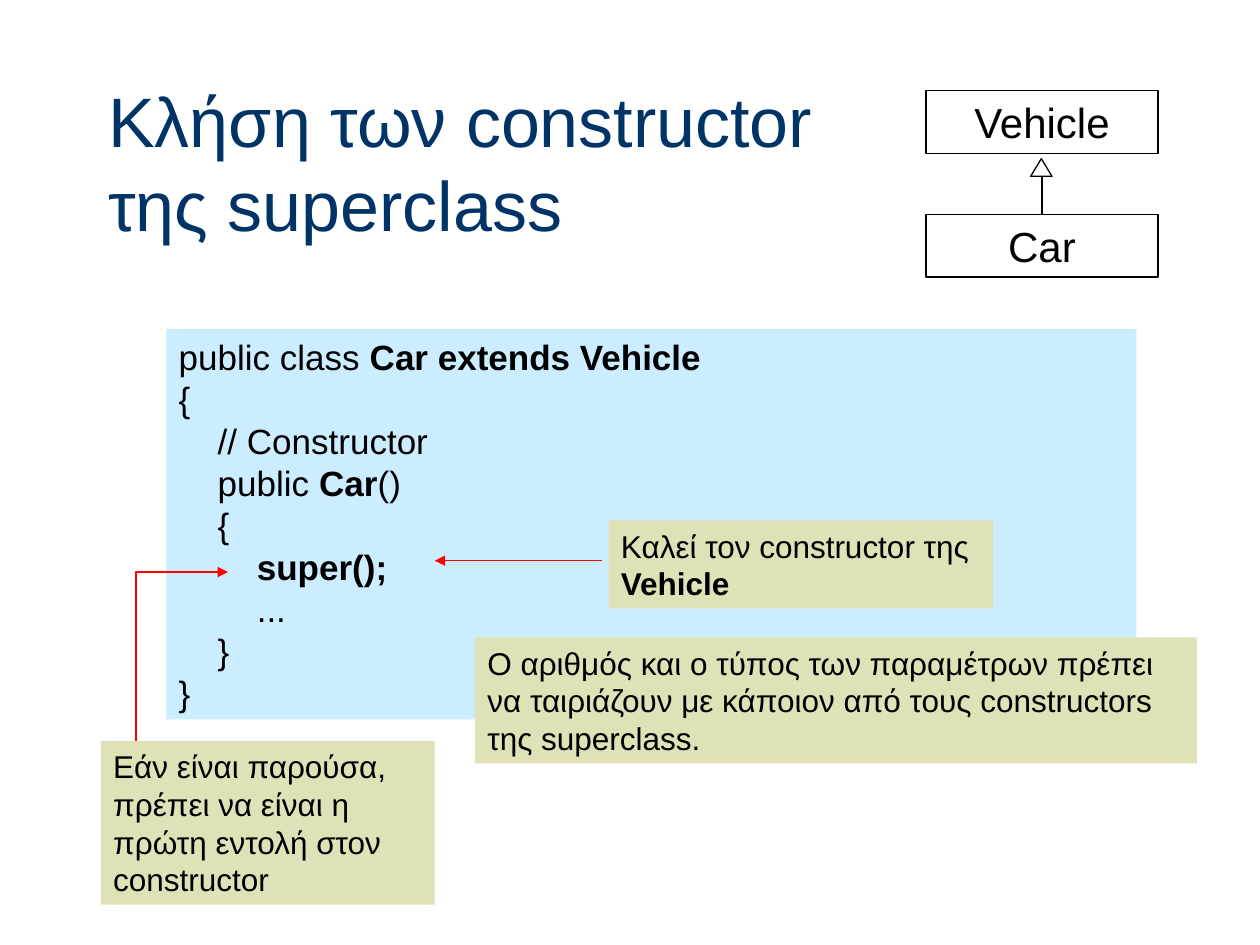
from dataclasses import dataclass

from lxml import etree
from pptx import Presentation
from pptx.dml.color import RGBColor
from pptx.enum import shapes, text
from pptx.oxml import ns
from pptx.util import Inches, Pt


@dataclass(frozen=True)
class Theme:
    font: str = "Arial"
    title: str = "003366"
    ink: str = "000000"
    paper: str = "FFFFFF"
    code: str = "CCECFF"
    note: str = "E1E1B7"
    pointer: str = "FF0000"
    title_size: int = 40
    class_size: int = 24
    code_size: int = 20
    note_size: int = 18
    line_width: float = 0.75
    indent: float = 0.31


class SlideBuilder:
    def __init__(self, slide, theme):
        self.slide = slide
        self.theme = theme

    def format_font(self, paragraph, size, color):
        font = paragraph.font
        font.name = self.theme.font
        font.size = Pt(size)
        font.color.rgb = RGBColor.from_string(color)

    def title(self, wording, left, top, width, height):
        heading = self.slide.shapes.title
        heading.left, heading.top = Inches(left), Inches(top)
        heading.width, heading.height = Inches(width), Inches(height)
        frame = heading.text_frame
        frame.text = wording
        frame.auto_size = text.MSO_AUTO_SIZE.NONE
        frame.vertical_anchor = text.MSO_ANCHOR.MIDDLE
        frame.paragraphs[0].alignment = text.PP_ALIGN.LEFT
        self.format_font(frame.paragraphs[0], self.theme.title_size, self.theme.title)

    def stroke(self, shape, color):
        shape.line.color.rgb = RGBColor.from_string(color)
        shape.line.width = Pt(self.theme.line_width)

    def shape(self, kind, left, top, width, height, fill, outline=None):
        drawn = self.slide.shapes.add_shape(
            kind, Inches(left), Inches(top), Inches(width), Inches(height))
        drawn.shadow.inherit = False
        drawn.fill.solid()
        drawn.fill.fore_color.rgb = RGBColor.from_string(fill)
        if outline:
            self.stroke(drawn, outline)
        else:
            drawn.line.fill.background()
        return drawn

    def box(self, lines, left, top, width, height, fill, size,
            align=text.PP_ALIGN.LEFT, outline=None):
        panel = self.shape(shapes.MSO_SHAPE.RECTANGLE, left, top, width, height,
                           fill, outline)
        frame = panel.text_frame
        frame.word_wrap = True
        frame.vertical_anchor = text.MSO_ANCHOR.TOP
        for number, (level, *runs) in enumerate(lines):
            paragraph = frame.add_paragraph() if number else frame.paragraphs[0]
            paragraph.alignment = align
            self.format_font(paragraph, size, self.theme.ink)
            if level:
                margin = Inches(level * self.theme.indent)
                paragraph._p.get_or_add_pPr().set("marL", str(margin))
            for position, wording in enumerate(runs):
                if wording:
                    run = paragraph.add_run()
                    run.text = wording
                    if position % 2:
                        run.font.bold = True
        return panel

    def class_box(self, name, top):
        return self.box([(0, name)], 7.35, top, 1.84, 0.5, self.theme.paper,
                        self.theme.class_size, text.PP_ALIGN.CENTER, self.theme.ink)

    def note(self, runs, left, top, width, height):
        return self.box([(0, *runs)], left, top, width, height,
                        self.theme.note, self.theme.note_size)

    def arrowhead(self, shape):
        etree.SubElement(shape.line._get_or_add_ln(), ns.qn("a:tailEnd"), type="triangle")

    def line(self, start, end, color, arrow=False):
        connector = self.slide.shapes.add_connector(
            shapes.MSO_CONNECTOR.STRAIGHT, *map(Inches, (*start, *end)))
        self.stroke(connector, color)
        etree.SubElement(connector._element.spPr, ns.qn("a:effectLst"))
        if arrow:
            self.arrowhead(connector)
        return connector

    def bent_arrow(self, points, color):
        start, *rest = [(Inches(x), Inches(y)) for x, y in points]
        builder = self.slide.shapes.build_freeform(*start)
        builder.add_line_segments(rest, close=False)
        route = builder.convert_to_shape()
        route.shadow.inherit = False
        route.fill.background()
        self.stroke(route, color)
        self.arrowhead(route)


def main():
    deck = Presentation()
    deck.slide_width, deck.slide_height = Inches(10), Inches(7.5)
    theme = Theme()
    page = SlideBuilder(deck.slides.add_slide(deck.slide_layouts[5]), theme)

    page.title("Κλήση των constructor της superclass", 0.76, 0.53, 6.02, 1.51)

    code_lines = [
        (0, "public class ", "Car extends Vehicle"),
        (0, "{"),
        (1, "// Constructor"),
        (1, "public ", "Car", "()"),
        (1, "{"),
        (2, "", "super();"),
        (2, "..."),
        (1, "}"),
        (0, "}"),
    ]
    page.box(code_lines, 1.32, 2.61, 7.7, 3.1, theme.code, theme.code_size)

    page.class_box("Vehicle", 0.72)
    subclass = page.class_box("Car", 1.7)
    inheritance = page.line((8.27, 1.7), (8.27, 1.4), theme.ink)
    inheritance.begin_connect(subclass, 0)
    page.shape(shapes.MSO_SHAPE.ISOSCELES_TRIANGLE, 8.18, 1.26, 0.17, 0.14,
               theme.paper, theme.ink)

    page.line((4.78, 4.45), (3.45, 4.45), theme.pointer, arrow=True)
    page.note(["Καλεί τον constructor της ", "Vehicle"], 4.83, 4.13, 3.05, 0.7)
    page.bent_arrow([(2.67, 5.95), (1.08, 5.95), (1.08, 4.54), (1.81, 4.54)],
                    theme.pointer)
    page.note(["Εάν είναι παρούσα, πρέπει να είναι η πρώτη εντολή στον constructor"],
              0.8, 5.88, 2.65, 1.3)
    page.note(["O αριθμός και ο τύπος των παραμέτρων πρέπει να ταιριάζουν με "
               "κάποιον από τους constructors της superclass."],
              3.77, 5.06, 5.73, 1)

    deck.save("out.pptx")


if __name__ == "__main__":
    main()
